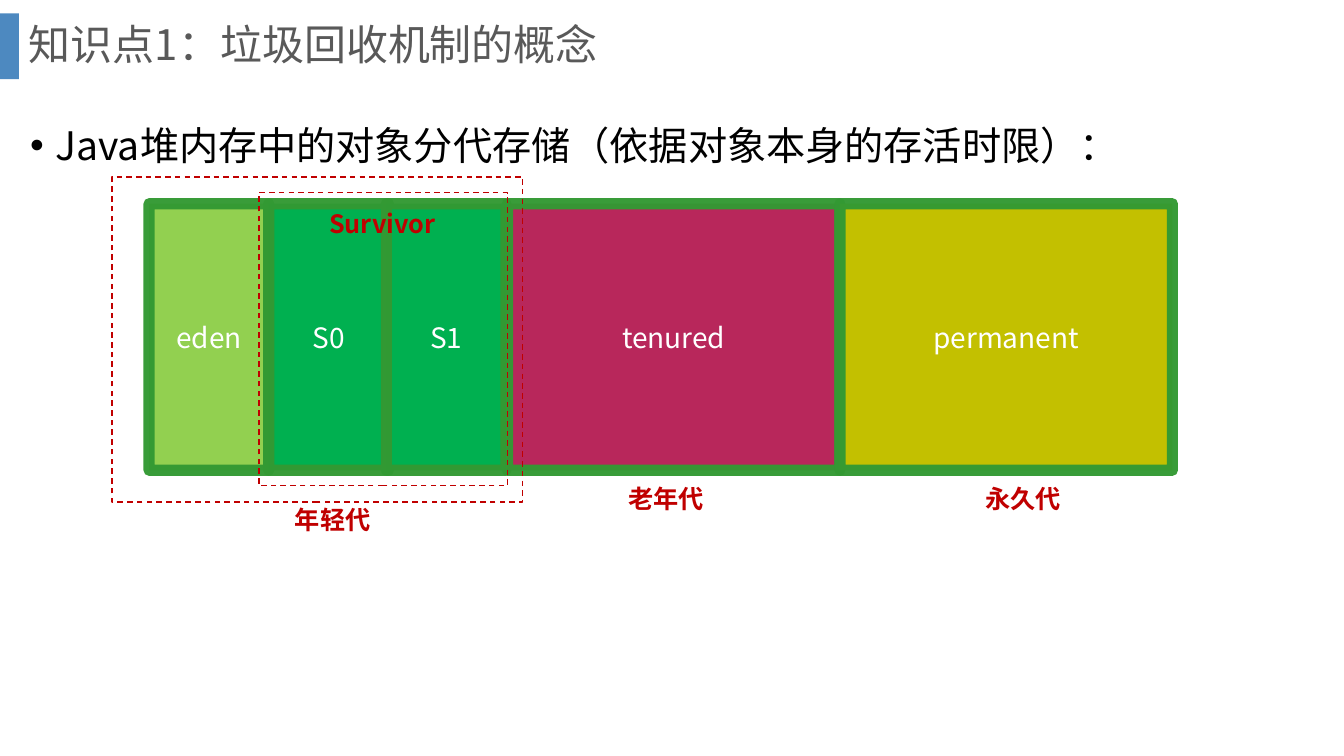
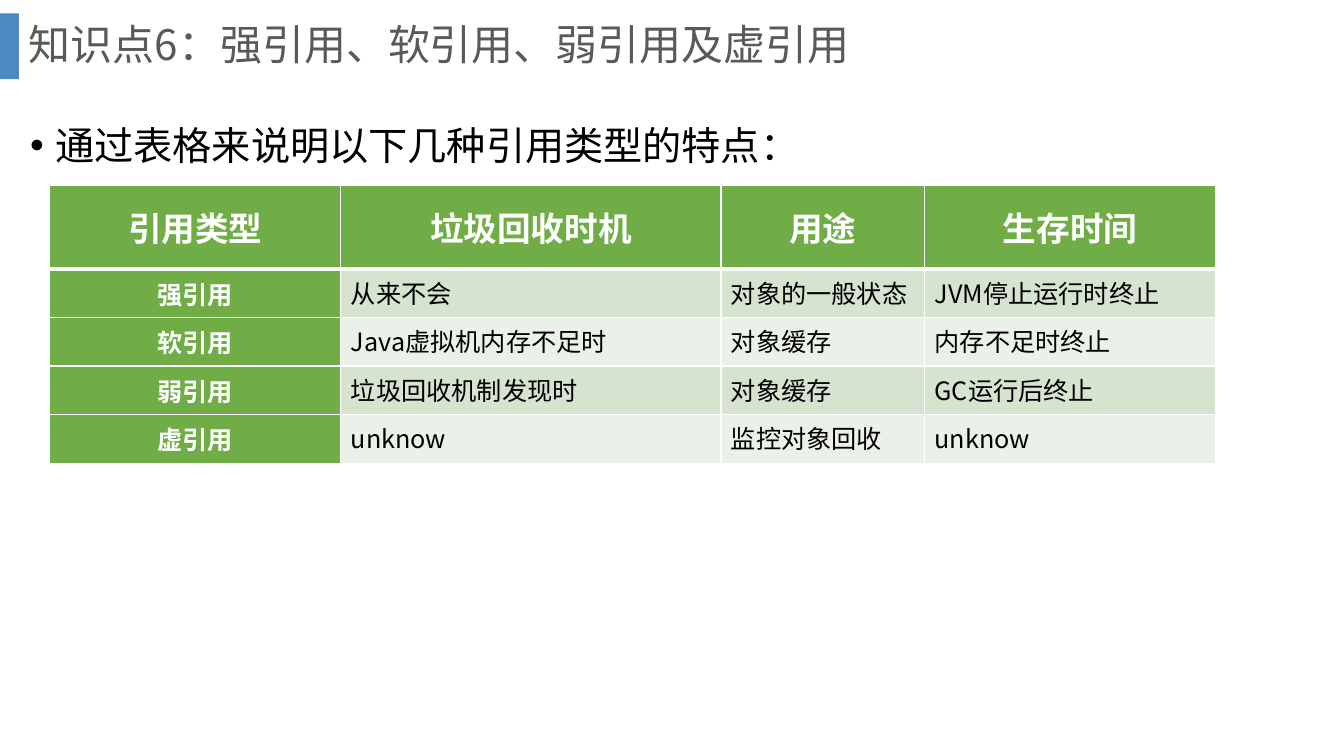
from lxml.etree import SubElement
from pptx import Presentation
from pptx.dml.color import RGBColor
from pptx.enum.dml import MSO_LINE
from pptx.enum.shapes import MSO_SHAPE
from pptx.enum.text import MSO_ANCHOR, PP_ALIGN
from pptx.oxml import parse_xml
from pptx.oxml.ns import nsdecls, qn
from pptx.util import Pt

FONT = "Noto Sans CJK SC"
WHITE, BLACK, GRAY, RED = "FFFFFF", "000000", "595959", "C00000"
BLUE, EDGE, GREEN = "2E75B6", "339933", "70AD47"
BANDS = ["D5E3CF", "EBF1E9"]


def paint(target, color, alpha=100):
    """Give a fill a solid colour, with an opacity in percent."""
    target.solid()
    target.fore_color.rgb = RGBColor.from_string(color)
    if alpha < 100:
        node = target._xPr.find(qn("a:solidFill"))[0]
        SubElement(node, qn("a:alpha"), val=str(alpha * 1000))


def write(frame, text, size, color, bold=False, align=PP_ALIGN.LEFT):
    """Put one styled paragraph in a text frame and return it."""
    frame.text = text
    para = frame.paragraphs[0]
    para.alignment = align
    for run in para.runs:
        font = run.font
        font.name, font.size, font.bold = FONT, Pt(size), bold
        font.color.rgb = RGBColor.from_string(color)
        SubElement(run._r.get_or_add_rPr(), qn("a:ea"), typeface=FONT)
    return para


deck = Presentation()
deck.slide_width, deck.slide_height = Pt(960), Pt(540)

# Title, side bar and bullet line of both slides
pages = []
for title, point in [
    ("知识点1：垃圾回收机制的概念", "Java堆内存中的对象分代存储（依据对象本身的存活时限）："),
    ("知识点6：强引用、软引用、弱引用及虚引用", "通过表格来说明以下几种引用类型的特点："),
]:
    page = deck.slides.add_slide(deck.slide_layouts[6])
    pages.append(page)
    bar = page.shapes.add_shape(MSO_SHAPE.RECTANGLE, 0, Pt(9.5), Pt(13.5), Pt(47))
    bar.shadow.inherit = False
    paint(bar.fill, BLUE, 85)
    bar.line.fill.background()

    head = page.shapes.add_textbox(Pt(13.5), 0, Pt(911.5), Pt(67)).text_frame
    head.word_wrap = True
    head.vertical_anchor = MSO_ANCHOR.MIDDLE
    write(head, title, 30, GRAY).line_spacing = 0.9

    body = page.shapes.add_textbox(Pt(14.5), Pt(83), Pt(929), Pt(48)).text_frame
    body.word_wrap = True
    props = write(body, point, 28, BLACK)._p.get_or_add_pPr()
    props.set("marL", str(Pt(18)))
    props.set("indent", str(-Pt(18)))
    SubElement(props, qn("a:buFont"), typeface="Arial")
    SubElement(props, qn("a:buChar"), char="•")

# Slide 1: heap areas
heap, refs = pages
for name, left, width, color in [
    ("eden", 106.5, 85.5, "92D050"),
    ("S0", 192, 85.5, "00B050"),
    ("S1", 276, 85.5, "00B050"),
    ("tenured", 362.5, 237.5, "B8275B"),
    ("permanent", 600, 237.5, "C3C000"),
]:
    area = heap.shapes.add_shape(
        MSO_SHAPE.RECTANGLE, Pt(left), Pt(145.5), Pt(width), Pt(190.5))
    area.shadow.inherit = False
    paint(area.fill, color)
    area.line.width = Pt(8)
    paint(area.line.fill, EDGE, 96)
    area.text_frame.vertical_anchor = MSO_ANCHOR.MIDDLE
    write(area.text_frame, name, 20, WHITE, align=PP_ALIGN.CENTER)

# Dashed frames around the young areas and the survivors
for left, top, width, height in [(80, 126.5, 293.5, 232), (185, 137.5, 177.5, 209.5)]:
    group = heap.shapes.add_shape(
        MSO_SHAPE.RECTANGLE, Pt(left), Pt(top), Pt(width), Pt(height))
    group.shadow.inherit = False
    group.fill.background()
    group.line.width = Pt(1)
    paint(group.line.fill, RED)
    group.line.dash_style = MSO_LINE.DASH

for name, left, top, width in [
    ("年轻代", 203.5, 357, 84),
    ("老年代", 441.5, 342, 84),
    ("永久代", 696.5, 342, 84),
    ("Survivor", 228, 145.5, 94.5),
]:
    label = heap.shapes.add_textbox(Pt(left), Pt(top), Pt(width), Pt(29)).text_frame
    write(label, name, 18, RED, bold=True)

# Slide 2: reference types
rows = [
    ["引用类型", "垃圾回收时机", "用途", "生存时间"],
    ["强引用", "从来不会", "对象的一般状态", "JVM停止运行时终止"],
    ["软引用", "Java虚拟机内存不足时", "对象缓存", "内存不足时终止"],
    ["弱引用", "垃圾回收机制发现时", "对象缓存", "GC运行后终止"],
    ["虚引用", "unknow", "监控对象回收", "unknow"],
]
widths = [208, 271.5, 145.5, 208]
heights = [59.5] + [34.75] * 4
grid = refs.shapes.add_table(
    len(rows), len(widths), Pt(35.5), Pt(132.5), Pt(sum(widths)), Pt(sum(heights))).table
grid.first_col = True
for col, width in zip(grid.columns, widths):
    col.width = Pt(width)
for r, row in enumerate(rows):
    grid.rows[r].height = Pt(heights[r])
    for c, text in enumerate(row):
        cell = grid.cell(r, c)
        for side in "LRTB":
            thick = 3 if (r, side) in [(0, "B"), (1, "T")] else 1
            cell._tc.get_or_add_tcPr().append(parse_xml(
                f'<a:ln{side} {nsdecls("a")} w="{Pt(thick)}"><a:solidFill>'
                f'<a:srgbClr val="{WHITE}"/></a:solidFill></a:ln{side}>'))
        size = 24 if r == 0 else 18
        if r == 0 or c == 0:
            paint(cell.fill, GREEN)
            cell.vertical_anchor = MSO_ANCHOR.MIDDLE
            write(cell.text_frame, text, size, WHITE, True, PP_ALIGN.CENTER)
        else:
            paint(cell.fill, BANDS[(r - 1) % 2])
            write(cell.text_frame, text, size, BLACK)

deck.save("out.pptx")
